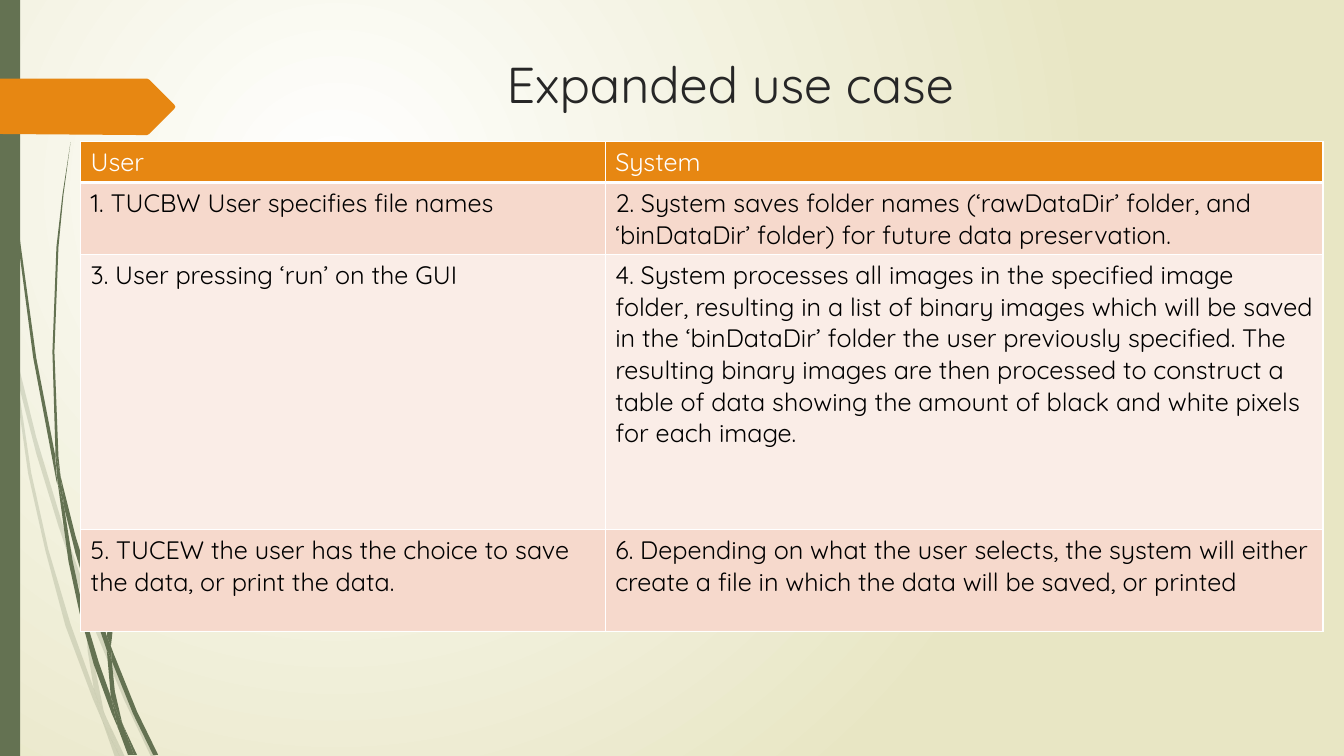
import pptx
import pptx.dml.color
import pptx.enum.shapes
import pptx.enum.text
import pptx.oxml.ns
import pptx.util
from lxml import etree

Pt = pptx.util.Pt
qn = pptx.oxml.ns.qn
FONT = "Quicksand"
GREEN, ORANGE, WHITE = "647252", "E78712", "FFFFFF"
GRID = 0.72  # outline coordinates are counted in steps of this many points


def rgb(value):
    return pptx.dml.color.RGBColor.from_string(value)


def add_outline(shapes, points, colour, opacity=100):
    builder = shapes.build_freeform(*points[0], scale=Pt(GRID))
    builder.add_line_segments(points[1:], close=True)
    sp = builder.convert_to_shape()
    sp.shadow.inherit = False
    sp.fill.solid()
    sp.fill.fore_color.rgb = rgb(colour)
    sp.line.fill.background()
    if opacity < 100:
        clr = sp._element.spPr.find(qn("a:solidFill")).find(qn("a:srgbClr"))
        etree.SubElement(clr, qn("a:alpha"), val=str(opacity * 1000))


prs = pptx.Presentation()
prs.slide_width, prs.slide_height = Pt(960), Pt(540)
s = prs.slides.add_slide(prs.slide_layouts[6])

# Background: circular gradient centred in the upper left
fill = s.background.fill
fill.gradient()
for stop, colour in zip(fill.gradient_stops, (WHITE, "E8E6C4")):
    stop.color.rgb = rgb(colour)
grad = next(s._element.iter(qn("a:gradFill")))
lin = grad.find(qn("a:lin"))
circle = etree.Element(qn("a:path"), path="circle")
etree.SubElement(circle, qn("a:fillToRect"), l="50000", t="50000", r="100000", b="100000")
grad.replace(lin, circle)

# Grass blades: a pale bunch behind a solid one
pale_blades = [
    [(11, 350), (9, 322), (0, 282), (0, 299), (10, 344)],
    [(58, 522), (84, 599), (85, 586), (62, 520), (36, 434), (14, 345), (17, 376), (36, 450)],
    [(92, 607), (88, 596), (88, 610), (123, 694), (150, 751), (155, 751), (127, 692)],
    [(119, 751), (124, 751), (105, 711)],
    [(93, 683), (70, 619), (48, 545), (31, 469), (17, 376), (11, 350), (28, 470),
     (45, 546), (65, 621), (92, 693), (101, 714), (99, 707)],
    [(84, 599), (87, 646), (93, 683), (96, 692), (105, 711), (103, 706), (91, 646),
     (88, 610), (88, 608)],
    [(88, 584), (93, 522), (110, 462), (133, 404), (160, 349), (193, 296), (229, 245),
     (268, 198), (290, 175), (312, 154), (312, 153), (289, 175), (268, 197), (228, 244),
     (191, 294), (158, 348), (130, 403), (107, 461), (90, 522), (85, 584), (85, 586),
     (88, 596)],
    [(101, 714), (114, 751), (119, 751)],
    [(88, 608), (88, 610), (88, 596), (85, 586), (84, 599)],
    [(96, 692), (93, 683), (99, 707), (101, 714), (119, 751), (105, 711)],
]
solid_blades = [
    [(7, 110), (17, 233), (33, 355), (56, 477), (57, 481), (55, 457), (55, 453), (36, 355),
     (19, 232), (8, 109), (5, 48), (4, 0), (3, 0), (4, 48)],
    [(88, 592), (106, 645), (106, 633), (106, 631), (93, 590), (75, 532), (60, 472),
     (64, 505), (75, 549)],
    [(113, 649), (110, 641), (111, 656), (132, 708), (152, 749), (157, 749), (136, 706)],
    [(110, 691), (98, 657), (83, 607), (72, 556), (64, 505), (57, 477), (68, 557),
     (79, 608), (93, 659), (111, 708), (117, 722), (116, 717)],
    [(60, 472), (58, 453), (54, 349), (58, 245), (63, 193), (70, 141), (62, 193),
     (56, 245), (52, 349), (55, 449)],
    [(133, 749), (136, 749), (122, 719)],
    [(57, 477), (64, 505), (60, 472), (55, 449), (55, 453)],
    [(111, 633), (115, 592), (125, 552), (140, 513), (158, 476), (180, 440), (205, 406),
     (231, 374), (245, 359), (261, 344), (260, 344), (245, 358), (231, 373), (204, 405),
     (178, 439), (156, 474), (137, 512), (122, 551), (111, 591), (106, 631), (110, 641)],
    [(117, 722), (127, 749), (131, 749)],
    [(106, 645), (110, 691), (116, 706), (122, 719), (121, 716), (114, 686), (111, 656),
     (109, 651)],
    [(106, 645), (109, 651), (111, 656), (110, 641), (106, 631), (106, 633)],
    [(116, 706), (110, 691), (116, 717), (117, 722), (130, 749), (133, 749), (122, 719)],
]
for blades, opacity in ((pale_blades, 20), (solid_blades, 100)):
    bunch = s.shapes.add_group_shape()
    for blade in blades:
        add_outline(bunch.shapes, blade, GREEN, opacity)

# Side bar and arrow tab
bar = s.shapes.add_shape(pptx.enum.shapes.MSO_SHAPE.RECTANGLE, 0, 0, Pt(14.4), Pt(540))
bar.shadow.inherit = False
bar.fill.solid()
bar.fill.fore_color.rgb = rgb(GREEN)
bar.line.fill.background()
add_outline(s.shapes, [(0, 78), (146, 78), (148, 79), (173, 104), (174, 106), (173, 108),
                       (148, 133), (146, 134), (136, 134), (0, 133)], ORANGE)

# Title
tf = s.shapes.add_textbox(Pt(170.6), Pt(34.6), Pt(702), Pt(100.8)).text_frame
tf.word_wrap = True
tf.vertical_anchor = pptx.enum.text.MSO_ANCHOR.TOP
p = tf.paragraphs[0]
p.alignment = pptx.enum.text.PP_ALIGN.CENTER
r = p.add_run()
r.text = "Expanded use case"
r.font.name, r.font.size = FONT, Pt(36)
r.font.color.rgb = rgb("262626")

# Use case table
rows = [
    ("User", "System"),
    ("1. TUCBW User specifies file names",
     "2. System saves folder names (‘rawDataDir’ folder, and ‘binDataDir’ folder) "
     "for future data preservation."),
    ("3. User pressing ‘run’ on the GUI",
     "4. System processes all images in the specified image folder, resulting in a list of "
     "binary images which will be saved in the ‘binDataDir’ folder the user previously "
     "specified. The resulting binary images are then processed to construct a table of data "
     "showing the amount of black and white pixels for each image."),
    ("5. TUCEW the user has the choice to save the data, or print the data.",
     "6. Depending on what the user selects, the system will either create a file in which "
     "the data will be saved, or printed"),
]
row_fills = (ORANGE, "F6D9CC", "FAEDE7", "F6D9CC")
row_heights = (29.5, 51.5, 196.6, 72.7)
col_widths = (374.7, 512.8)
table = s.shapes.add_table(len(rows), 2, Pt(57.6), Pt(100.8),
                           Pt(sum(col_widths)), Pt(sum(row_heights))).table
for col, width in zip(table.columns, col_widths):
    col.width = Pt(width)
for i, texts in enumerate(rows):
    table.rows[i].height = Pt(row_heights[i])
    for j, text in enumerate(texts):
        cell = table.cell(i, j)
        cell.fill.solid()
        cell.fill.fore_color.rgb = rgb(row_fills[i])
        r = cell.text_frame.paragraphs[0].add_run()
        r.text = text
        r.font.name, r.font.size, r.font.bold = FONT, Pt(18), False
        r.font.color.rgb = rgb(WHITE if i == 0 else "000000")
        tcPr = cell._tc.get_or_add_tcPr()
        for k, side in enumerate(("lnL", "lnR", "lnT", "lnB")):
            weight = 3 if i == 0 and side == "lnB" else 1
            ln = etree.Element(qn("a:" + side), w=str(Pt(weight)))
            etree.SubElement(etree.SubElement(ln, qn("a:solidFill")), qn("a:srgbClr"), val=WHITE)
            tcPr.insert(k, ln)

prs.save("out.pptx")
